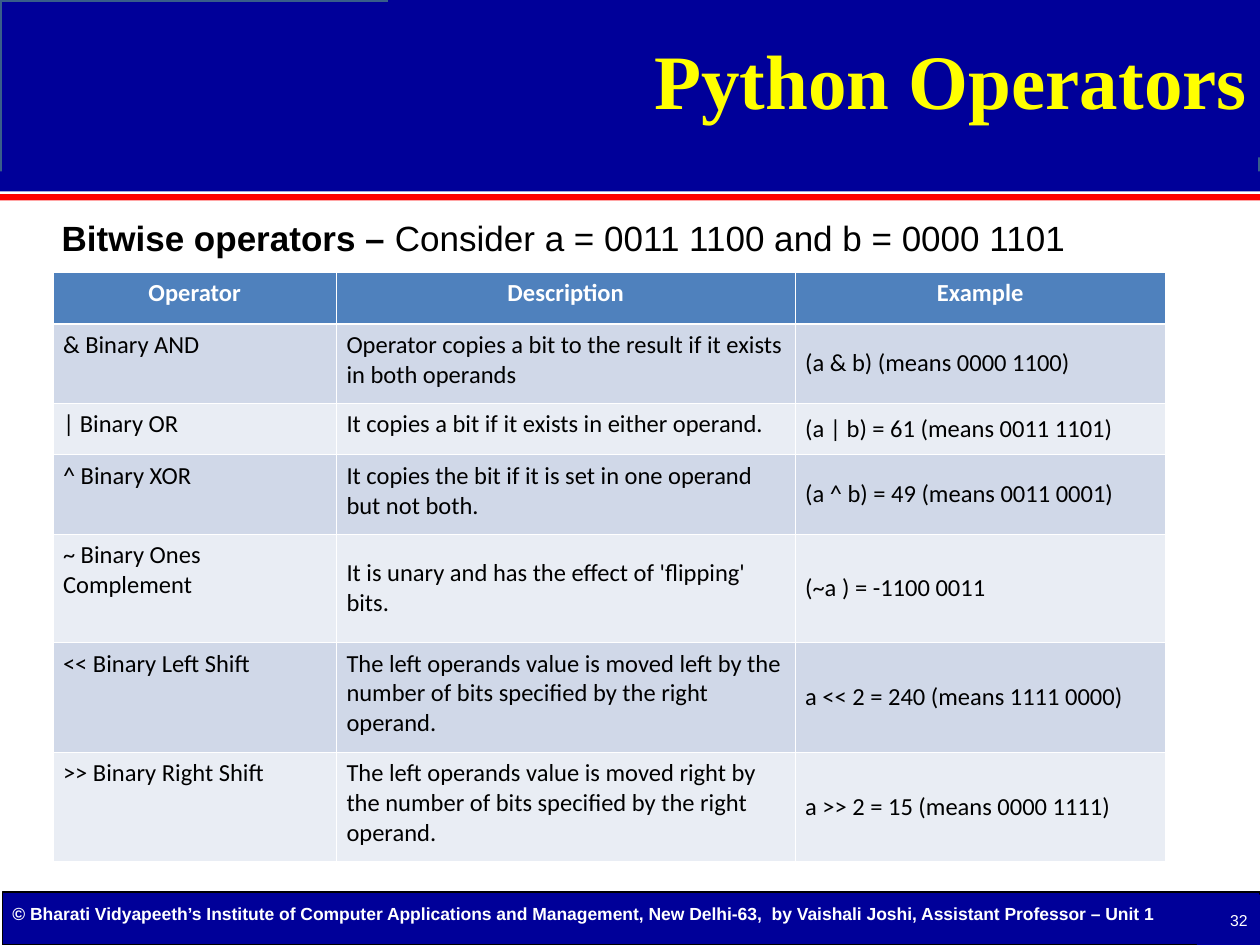
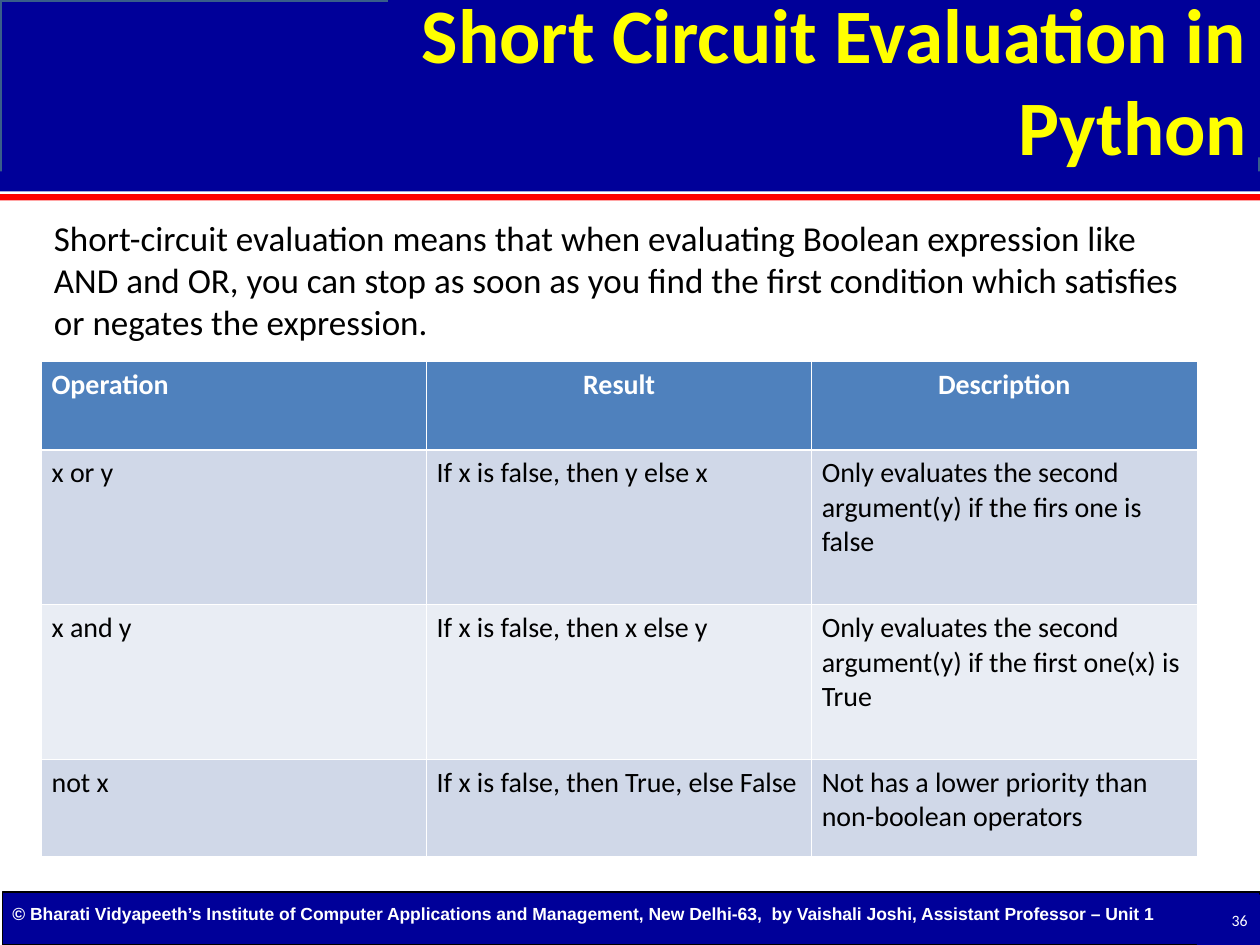
from lxml import etree
from pptx import Presentation
from pptx import util as u
from pptx.dml.color import RGBColor
from pptx.enum import shapes, text
from pptx.oxml.ns import qn

NAVY, RED, YELLOW = "000099", "FF0000", "FFFF00"
WHITE, BLACK, STEEL = "FFFFFF", "000000", "385D8A"
HEADER_FILL, BAND_FILLS = "4F81BD", ("D0D8E8", "E9EDF4")
THIN, THICK = 0.45, 1.47
COPYRIGHT = ("© Bharati Vidyapeeth’s Institute of Computer Applications and Management, "
             "New Delhi-63,  by Vaishali Joshi, Assistant Professor – Unit 1")
LEFT, CENTER, RIGHT = text.PP_ALIGN.LEFT, text.PP_ALIGN.CENTER, text.PP_ALIGN.RIGHT
TOP, MIDDLE, BOTTOM = (text.MSO_ANCHOR.TOP, text.MSO_ANCHOR.MIDDLE,
                       text.MSO_ANCHOR.BOTTOM)


def color(hex_string):
    return RGBColor.from_string(hex_string)


def inches(*lengths):
    return [u.Inches(length) for length in lengths]


def set_borders(cell, **widths):
    """Draw white cell borders; keys are L, R, T, B and values are points."""
    properties = cell._tc.get_or_add_tcPr()
    for side, width in widths.items():
        line = etree.SubElement(properties, qn(f"a:ln{side}"), w=str(u.Pt(width)))
        fill = etree.SubElement(line, qn("a:solidFill"))
        etree.SubElement(fill, qn("a:srgbClr"), val=WHITE)


class Deck:
    def __init__(self):
        self.prs = Presentation()
        self.prs.slide_width, self.prs.slide_height = inches(10, 7.5)
        self.slide = None
        self.font = None

    def start(self, title, number, font, number_font):
        """Add a slide with its header, title, footer and slide number."""
        self.slide = self.prs.slides.add_slide(self.prs.slide_layouts[5])
        self.font = font
        self.rect(0.02, 7.08, 9.98, 0.42, NAVY, BLACK, 0.75)
        self.text_box(0, 7.11, 9.42, 0.27, [(COPYRIGHT, True)], 10, "Arial",
                      WHITE, anchor=BOTTOM)
        self.rect(0, 0, 10, 1.42, NAVY, STEEL, 2)
        self.rect(0, 1.36, 10, 0.16, NAVY)
        self.rect(0, 1.54, 10, 0.05, RED)
        self.title(title)
        page = self.rect(9.5, 7.1, 0.5, 0.4, NAVY)
        self.set_text(page.text_frame, [(number, False)], 9, number_font, WHITE,
                      RIGHT, MIDDLE)

    def title(self, wording):
        title = self.slide.shapes.title
        title.left, title.top, title.width, title.height = inches(3.08, 0, 6.92, 1.25)
        title.fill.solid()
        title.fill.fore_color.rgb = color(NAVY)
        self.set_text(title.text_frame, [(wording, True)], 44, self.font, YELLOW,
                      RIGHT, MIDDLE)
        # The title lies in front of the header band.
        self.slide.shapes._spTree.append(title._element)

    def rect(self, left, top, width, height, fill, line=None, weight=0):
        shape = self.slide.shapes.add_shape(
            shapes.MSO_SHAPE.RECTANGLE, *inches(left, top, width, height))
        shape.shadow.inherit = False
        shape.fill.solid()
        shape.fill.fore_color.rgb = color(fill)
        if line:
            shape.line.color.rgb = color(line)
            shape.line.width = u.Pt(weight)
        else:
            shape.line.fill.background()
        return shape

    def set_text(self, frame, parts, size, font, ink, align=LEFT, anchor=TOP):
        """Fill a text frame with one paragraph of (wording, bold) parts."""
        frame.word_wrap = True
        frame.auto_size = text.MSO_AUTO_SIZE.NONE
        frame.vertical_anchor = anchor
        paragraph = frame.paragraphs[0]
        paragraph.alignment = align
        for wording, bold in parts:
            run = paragraph.add_run()
            run.text = wording
            self.style(run.font, size, font, ink, bold)

    def style(self, target, size, font, ink, bold):
        target.size, target.name, target.bold = u.Pt(size), font, bold
        target.color.rgb = color(ink)

    def text_box(self, left, top, width, height, parts, size, font, ink,
                 anchor=TOP, inset=0.1):
        box = self.slide.shapes.add_textbox(*inches(left, top, width, height))
        box.text_frame.margin_left = u.Inches(inset)
        self.set_text(box.text_frame, parts, size, font, ink, anchor=anchor)

    def table(self, left, top, widths, heights, rows, size, header_aligns, middle=()):
        """Add a banded table; middle lists the (row, column) cells centred vertically."""
        frame = self.slide.shapes.add_table(
            len(rows), len(widths), *inches(left, top, sum(widths), sum(heights)))
        table = frame.table
        for column, width in zip(table.columns, widths):
            column.width = u.Inches(width)
        for row, height in zip(table.rows, heights):
            row.height = u.Inches(height)
        for r, row in enumerate(rows):
            header = r == 0
            for c, wording in enumerate(row):
                cell = table.cell(r, c)
                cell.margin_left, cell.margin_right = inches(0.08, 0.08)
                cell.margin_top, cell.margin_bottom = inches(0.05, 0.05)
                cell.vertical_anchor = MIDDLE if (r, c) in middle else TOP
                set_borders(cell, L=THIN, R=THIN, T=THICK if r == 1 else THIN,
                            B=THICK if header else THIN)
                cell.fill.solid()
                cell.fill.fore_color.rgb = color(
                    HEADER_FILL if header else BAND_FILLS[(r - 1) % 2])
                cell.text_frame.text = wording
                paragraph = cell.text_frame.paragraphs[0]
                paragraph.alignment = header_aligns[c] if header else LEFT
                self.style(paragraph.runs[0].font, size, "Calibri",
                           WHITE if header else BLACK, header)


def bitwise_operators(deck):
    deck.start("Python Operators", "32", "Times New Roman", "Arial")
    deck.text_box(0.33, 1.67, 9.33, 5.17,
                  [("Bitwise operators – ", True),
                   ("Consider a = 0011 1100 and b = 0000 1101", False)],
                  20, "Arial", BLACK, inset=0.16)
    operators = [
        ("Operator", "Description", "Example"),
        ("& Binary AND",
         "Operator copies a bit to the result if it exists in both operands",
         "(a & b) (means 0000 1100)"),
        ("| Binary OR", "It copies a bit if it exists in either operand.",
         "(a | b) = 61 (means 0011 1101)"),
        ("^ Binary XOR", "It copies the bit if it is set in one operand but not both.",
         "(a ^ b) = 49 (means 0011 0001)"),
        ("~ Binary Ones Complement", "It is unary and has the effect of 'flipping' bits.",
         "(~a ) = -1100 0011"),
        ("<< Binary Left Shift",
         "The left operands value is moved left by the number of bits specified "
         "by the right operand.",
         "a << 2 = 240 (means 1111 0000)"),
        (">> Binary Right Shift",
         "The left operands value is moved right by the number of bits specified "
         "by the right operand.",
         "a >> 2 = 15 (means 0000 1111)"),
    ]
    examples = [(row, 2) for row in range(1, len(operators))]
    deck.table(0.42, 2.16, [2.25, 3.64, 2.94],
               [0.41, 0.63, 0.41, 0.63, 0.86, 0.87, 0.87], operators, 14,
               [CENTER] * 3, middle=examples + [(4, 1)])


def short_circuit(deck):
    deck.start("Short Circuit Evaluation in Python", "36", "Calibri", "Calibri")
    deck.text_box(0.33, 1.67, 9.33, 5.33,
                  [("Short-circuit evaluation means that when evaluating Boolean "
                    "expression like AND and OR, you can stop as soon as you find the "
                    "first condition which satisfies or negates the expression.", False)],
                  20, "Calibri", BLACK)
    operations = [
        ("Operation", "Result", "Description"),
        ("x or y", "If x is false, then y else x",
         "Only evaluates the second argument(y) if the firs one is false"),
        ("x and y", "If x is false, then x else y",
         "Only evaluates the second argument(y) if the first one(x) is True"),
        ("not x", "If x is false, then True, else False",
         "Not has a lower priority than non-boolean operators"),
    ]
    deck.table(0.33, 2.87, [9.17 / 3] * 3, [0.7, 1.23, 1.23, 0.77], operations, 16,
               [LEFT, CENTER, CENTER])


def main():
    deck = Deck()
    bitwise_operators(deck)
    short_circuit(deck)
    deck.prs.save("out.pptx")


if __name__ == "__main__":
    main()
